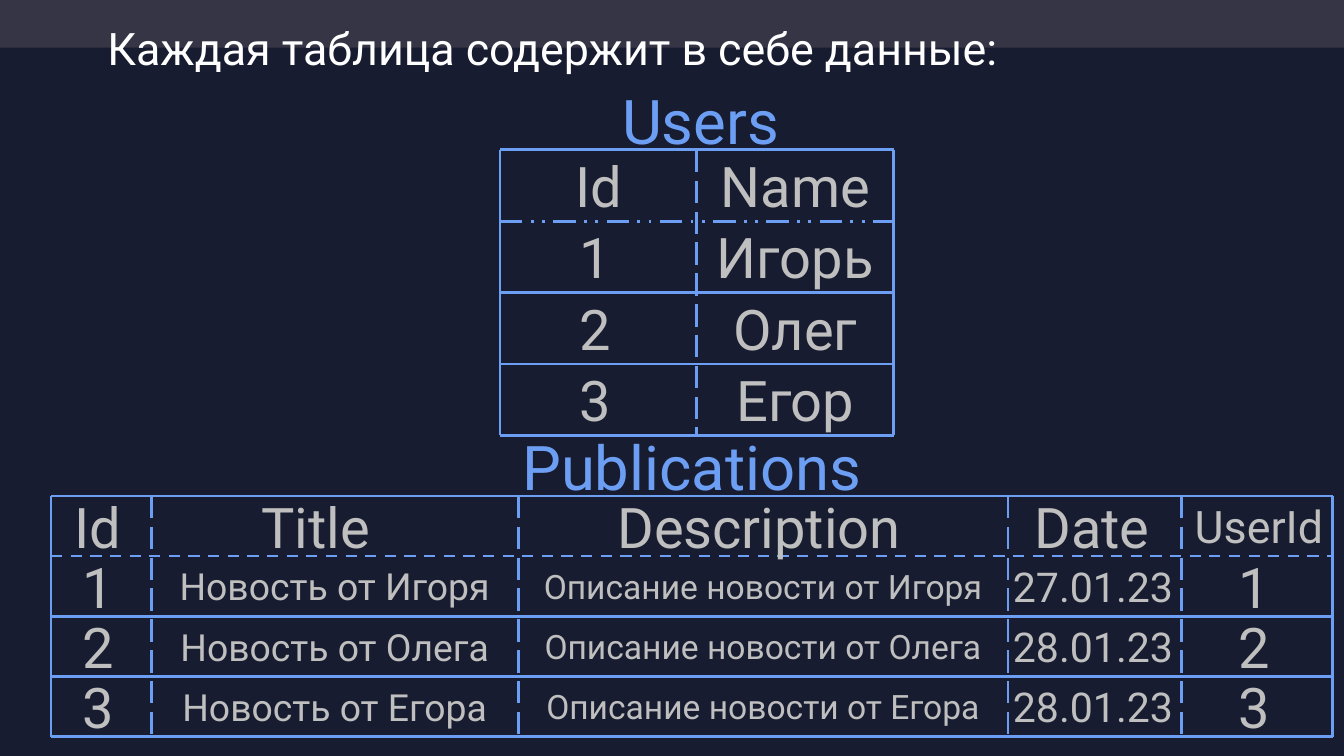
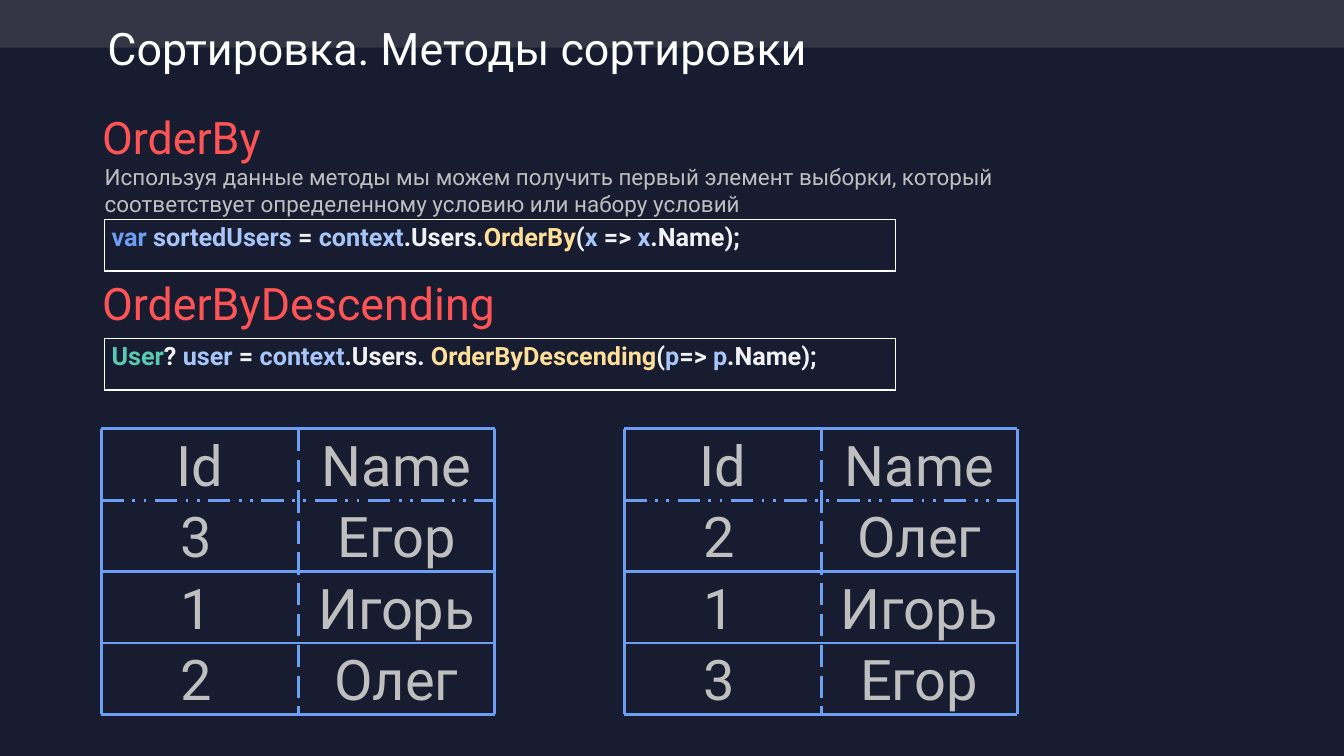
from lxml import etree
from pptx import Presentation
from pptx.dml.color import RGBColor
from pptx.enum.dml import MSO_LINE_DASH_STYLE
from pptx.enum.shapes import MSO_CONNECTOR, MSO_SHAPE
from pptx.enum.text import MSO_ANCHOR, PP_ALIGN
from pptx.oxml.ns import qn
from pptx.util import Inches, Pt

LEFT, CENTER = PP_ALIGN.LEFT, PP_ALIGN.CENTER
MIDDLE = MSO_ANCHOR.MIDDLE
STRAIGHT = MSO_CONNECTOR.STRAIGHT
ROUNDED = MSO_SHAPE.ROUNDED_RECTANGLE
SOLID = MSO_LINE_DASH_STYLE.SOLID
DASH = MSO_LINE_DASH_STYLE.DASH
LONG_DASH = MSO_LINE_DASH_STYLE.LONG_DASH
DASH_DOT_DOT = MSO_LINE_DASH_STYLE.DASH_DOT_DOT

NAVY = RGBColor(0x17, 0x1C, 0x30)
BAND = RGBColor(0x35, 0x35, 0x45)
WHITE = RGBColor(0xFF, 0xFF, 0xFF)
GRAY = RGBColor(0xBF, 0xBF, 0xBF)
BLUE = RGBColor(0x6C, 0x9F, 0xF4)
RED = RGBColor(0xFF, 0x53, 0x55)
PALE = RGBColor(0xF2, 0xF2, 0xF5)
LIGHT_BLUE = RGBColor(0xA7, 0xC5, 0xF8)
YELLOW = RGBColor(0xFF, 0xDF, 0x99)
GREEN = RGBColor(0x5B, 0xC9, 0xB0)
FONT = "Roboto"

SLIDE_WIDTH, SLIDE_HEIGHT = Inches(20), Inches(11.25)
COLUMN, ROW = SLIDE_WIDTH / 20, SLIDE_HEIGHT / 11.25


def write_runs(paragraph, runs, size, bold=False):
    for text, color in runs:
        run = paragraph.add_run()
        run.text = text
        run.font.name = FONT
        run.font.size = Pt(size)
        run.font.bold = bold
        run.font.color.rgb = color


def add_text(slide, text, left, top, width, height, size, color=GRAY, alignment=LEFT):
    box = slide.shapes.add_textbox(
        int(left * COLUMN), int(top * ROW), int(width * COLUMN), int(height * ROW))
    box.text_frame.word_wrap = True
    paragraph = box.text_frame.paragraphs[0]
    paragraph.alignment = alignment
    write_runs(paragraph, [(text, color)], size)
    return box


presentation = Presentation()
presentation.slide_width = SLIDE_WIDTH
presentation.slide_height = SLIDE_HEIGHT
blank_layout = presentation.slide_layouts[6]

slides = []
for title in ("Каждая таблица содержит в себе данные:", "Сортировка. Методы сортировки"):
    slide = presentation.slides.add_slide(blank_layout)
    slide.background.fill.solid()
    slide.background.fill.fore_color.rgb = NAVY
    band = slide.shapes.add_shape(ROUNDED, 0, 0, SLIDE_WIDTH, int(0.71 * ROW))
    band.adjustments[0] = 0
    band.shadow.inherit = False
    band.fill.solid()
    band.fill.fore_color.rgb = BAND
    band.line.fill.background()
    title_box = add_text(slide, title, 1.5, 0.34, 14.08, 0.83, 48, WHITE)
    title_box.text_frame.vertical_anchor = MIDDLE
    title_box.text_frame.paragraphs[0].line_spacing = 0.9
    slides.append(slide)
data_slide, sorting_slide = slides

add_text(data_slide, "Users", 7.5, 1.18, 5.85, 1.21, 66, BLUE, CENTER)
add_text(data_slide, "Publications", 7.37, 6.33, 5.85, 1.21, 66, BLUE, CENTER)

add_text(sorting_slide, "OrderBy", 1.42, 1.58, 16.42, 0.91, 48, RED)
add_text(sorting_slide,
         "Используя данные методы мы можем получить первый элемент выборки, "
         "который соответствует определенному условию или набору условий",
         1.46, 2.38, 13.84, 0.91, 24)
add_text(sorting_slide, "OrderByDescending", 1.42, 4.06, 11.91, 0.91, 48, RED)

code_samples = [
    (3.27, [("var ", BLUE), ("sortedUsers", LIGHT_BLUE), (" = ", PALE),
            ("context", LIGHT_BLUE), (".Users.", PALE), ("OrderBy", YELLOW), ("(", PALE),
            ("x", LIGHT_BLUE), (" => ", PALE), ("x", LIGHT_BLUE), (".Name);", PALE)]),
    (5.04, [("User", GREEN), ("? ", PALE), ("user", LIGHT_BLUE), (" = ", PALE),
            ("context", LIGHT_BLUE), (".Users. ", PALE), ("OrderByDescending", YELLOW),
            ("(", PALE), ("p", LIGHT_BLUE), ("=> ", PALE), ("p", LIGHT_BLUE),
            (".Name);", PALE)]),
]
for top, runs in code_samples:
    frame = sorting_slide.shapes.add_table(
        1, 1, int(1.56 * COLUMN), int(top * ROW), int(11.76 * COLUMN), int(0.76 * ROW))
    frame.table.first_row = False
    frame.table.horz_banding = False
    cell = frame.table.cell(0, 0)
    write_runs(cell.text_frame.paragraphs[0], runs, 27, True)
    properties = cell._tc.get_or_add_tcPr()
    for side, points in (("lnL", 1), ("lnR", 1), ("lnT", 1), ("lnB", 3)):
        border = etree.SubElement(properties, qn(f"a:{side}"), w=str(Pt(points)))
        border_fill = etree.SubElement(border, qn("a:solidFill"))
        etree.SubElement(border_fill, qn("a:srgbClr"), val=str(WHITE))
    cell.fill.solid()
    cell.fill.fore_color.rgb = NAVY

BOX_HEIGHTS = {60: 1.11, 48: 0.91, 44: 0.84, 40: 0.77, 36: 0.71}
HEADER_WIDTH = 2.93
ID_STYLE = (60, 0.76, LEFT)
NAME_STYLE = (60, HEADER_WIDTH, CENTER)
user_columns = [("Id", 60, HEADER_WIDTH, 0, ID_STYLE),
                ("Name", 60, HEADER_WIDTH, 0, NAME_STYLE)]
publication_columns = [
    ("Id", 60, HEADER_WIDTH, -0.05, ID_STYLE),
    ("Title", 60, HEADER_WIDTH, -0.28, (40, 5.58, CENTER)),
    ("Description", 60, 6.98, -0.06, (36, 7.29, CENTER)),
    ("Date", 60, HEADER_WIDTH, -0.04, (44, 2.63, LEFT)),
    ("UserId", 48, HEADER_WIDTH, 0.03, ID_STYLE),
]
igor, oleg, egor = ("1", "Игорь"), ("2", "Олег"), ("3", "Егор")
publications = [
    ("1", "Новость от Игоря", "Описание новости от Игоря", "27.01.23", "1"),
    ("2", "Новость от Олега", "Описание новости от Олега", "28.01.23", "2"),
    ("3", "Новость от Егора", "Описание новости от Егора", "28.01.23", "3"),
]
grids = [
    (data_slide, [7.44, 10.37, 13.3], 2.23, 6.48, DASH_DOT_DOT,
     user_columns, [igor, oleg, egor]),
    (data_slide, [0.76, 2.25, 7.71, 15, 17.58, 19.83], 7.38, 10.96, DASH,
     publication_columns, publications),
    (sorting_slide, [1.51, 4.44, 7.36], 6.38, 10.63, DASH_DOT_DOT,
     user_columns, [egor, igor, oleg]),
    (sorting_slide, [9.29, 12.22, 15.14], 6.38, 10.63, DASH_DOT_DOT,
     user_columns, [oleg, igor, egor]),
]
for slide, edges, top, bottom, header_dash, columns, records in grids:
    row_count = len(records) + 1
    row_height = (bottom - top) / row_count
    lines = []
    for edge in edges:
        outer = edge in (edges[0], edges[-1])
        lines.append((edge, top, edge, bottom, SOLID if outer else LONG_DASH))
    for row in range(row_count + 1):
        level = top + row * row_height
        lines.append((edges[0], level, edges[-1], level, header_dash if row == 1 else SOLID))

    group = slide.shapes.add_group_shape()
    for start_x, start_y, end_x, end_y, dash in lines:
        connector = group.shapes.add_connector(
            STRAIGHT, int(start_x * COLUMN), int(start_y * ROW),
            int(end_x * COLUMN), int(end_y * ROW))
        connector.line.color.rgb = BLUE
        connector.line.width = Pt(3)
        connector.line.dash_style = dash
        etree.SubElement(connector._element.spPr, qn("a:effectLst"))

    for index, (header, header_size, header_width, shift, style) in enumerate(columns):
        center = (edges[index] + edges[index + 1]) / 2
        header_height = BOX_HEIGHTS[header_size]
        add_text(slide, header, center + shift - header_width / 2,
                 top + (row_height - header_height) / 2,
                 header_width, header_height, header_size, GRAY, CENTER)
        size, width, alignment = style
        height = BOX_HEIGHTS[size]
        for row, record in enumerate(records, 1):
            add_text(slide, record[index], center - width / 2,
                     top + row * row_height + (row_height - height) / 2,
                     width, height, size, GRAY, alignment)

presentation.save("out.pptx")
